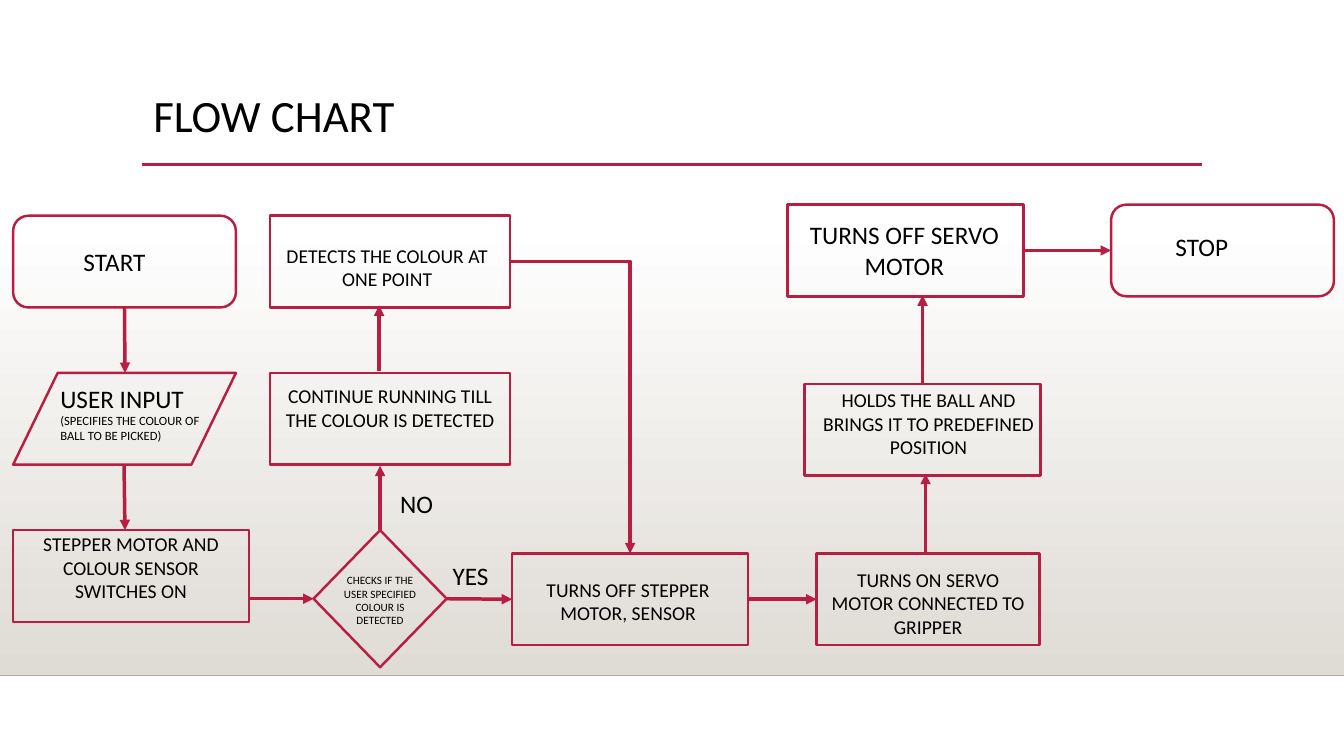
from lxml import etree
from pptx import Presentation, util as u
from pptx.dml.color import RGBColor
from pptx.enum import shapes, text
from pptx.oxml.ns import qn

WIDTH, HEIGHT = 13.33, 7.5
FONT, INK, RED = "Calibri", "000000", "B71E42"
TITLE = "FLOW CHART"
LEFT, CENTER = text.PP_ALIGN.LEFT, text.PP_ALIGN.CENTER
TOP_SIDE, LEFT_SIDE, BOTTOM_SIDE, RIGHT_SIDE = range(4)

# Grid: column lefts, row tops and step widths
COLUMN = {"input": 0.13, "check": 3.11, "detect": 2.68, "stepper": 5.08,
          "servo": 8.1, "hold": 7.98, "finish": 7.81, "stop": 11.02}
ROW = {"finish": 2.03, "first": 2.14, "second": 3.7, "hold": 3.81,
       "third": 5.26, "last": 5.49}
NARROW, WIDE, WIDER = 2.21, 2.34, 2.38
STEP_HEIGHT, DIAMOND = 0.91, (1.32, 1.36)

# Steps: name -> kind, column, row, width
STEPS = {
    "start": ("FLOWCHART_ALTERNATE_PROCESS", "input", "first", NARROW),
    "input": ("FLOWCHART_DATA", "input", "second", NARROW),
    "switch on": ("RECTANGLE", "input", "third", WIDE),
    "check": ("DIAMOND", "check", "third", DIAMOND[0]),
    "continue": ("RECTANGLE", "detect", "second", WIDER),
    "detect": ("RECTANGLE", "detect", "first", WIDER),
    "stepper off": ("RECTANGLE", "stepper", "last", WIDE),
    "servo on": ("RECTANGLE", "servo", "last", NARROW),
    "hold": ("RECTANGLE", "hold", "hold", WIDE),
    "servo off": ("RECTANGLE", "finish", "finish", WIDE),
    "stop": ("FLOWCHART_ALTERNATE_PROCESS", "stop", "finish", NARROW),
}

# Arrows: each end is a point or a (step, side) joint
ARROWS = [
    (("start", BOTTOM_SIDE), (1.24, 3.7)),
    ((1.23, 4.61), (1.24, 5.26)),
    ((2.47, 5.94), ("check", LEFT_SIDE)),
    (("check", RIGHT_SIDE), ("stepper off", LEFT_SIDE)),
    (("check", TOP_SIDE), (3.77, 4.62)),
    ((3.76, 3.68), (3.76, 3.03)),
    (("stepper off", RIGHT_SIDE), ("servo on", LEFT_SIDE)),
    ((9.18, 5.48), (9.18, 4.7)),
    (("hold", TOP_SIDE), (9.15, 2.93)),
    (("servo off", RIGHT_SIDE), ("stop", LEFT_SIDE)),
]
BENT_ARROW = (("detect", RIGHT_SIDE), ("stepper off", TOP_SIDE))

# Labels: left, top, width, height, alignment, (words, size) per paragraph
LABELS = [
    (0.73, 2.39, 1.04, 0.4, LEFT, [("START", 18)]),
    (11.56, 2.25, 1.04, 0.4, LEFT, [("STOP", 18)]),
    (4.39, 5.51, 0.64, 0.4, LEFT, [("YES", 18)]),
    (3.87, 4.8, 0.64, 0.4, LEFT, [("NO", 18)]),
    (0.5, 3.75, 1.61, 0.71, LEFT,
     [("USER INPUT", 18), ("(SPECIFIES THE COLOUR OF BALL TO BE PICKED)", 9)]),
    (0.13, 5.23, WIDE, 0.81, CENTER,
     [("STEPPER MOTOR AND COLOUR SENSOR SWITCHES ON", 14)]),
    (2.68, 3.76, WIDER, 0.81, CENTER,
     [("CONTINUE RUNNING TILL THE COLOUR IS DETECTED", 14)]),
    (2.65, 2.37, WIDER, 0.57, CENTER, [("DETECTS THE COLOUR AT ONE POINT", 14)]),
    (5.05, 5.68, 2.36, 0.77, CENTER, [("TURNS OFF STEPPER MOTOR, SENSOR", 14)]),
    (8.1, 5.58, NARROW, 0.81, CENTER,
     [("TURNS ON SERVO MOTOR CONNECTED TO GRIPPER", 14)]),
    (8.04, 3.8, WIDE, 0.81, CENTER,
     [("HOLDS THE BALL AND BRINGS IT TO PREDEFINED POSITION", 14)]),
    (7.8, 2.13, WIDE, 0.71, CENTER, [("TURNS OFF SERVO MOTOR", 18)]),
    (3.25, 5.64, 1.04, 0.64, CENTER,
     [("CHECKS IF THE USER SPECIFIED COLOUR IS DETECTED", 8)]),
]


def color(value):
    return RGBColor.from_string(value)


def inches(*lengths):
    return [u.Inches(length) for length in lengths]


def format_with(target, **values):
    for name, value in values.items():
        setattr(target, name, value)


def write(paragraph, words, size, alignment):
    paragraph.alignment = alignment
    span = paragraph.add_run()
    span.text = words
    format_with(span.font, name=FONT, size=u.Pt(size))
    span.font.color.rgb = color(INK)


def add_line(page, start, end, weight, stroke=RED, kind="STRAIGHT"):
    line = page.shapes.add_connector(
        shapes.MSO_CONNECTOR[kind], *inches(*start, *end))
    line.line.width = u.Pt(weight)
    line.line.color.rgb = color(stroke)
    etree.SubElement(line._element.spPr, qn("a:effectLst"))
    return line


def add_arrow(page, steps, start, end, kind="STRAIGHT"):
    joints = [end_at if end_at[0] in steps else None for end_at in (start, end)]
    points = [(0, 0) if joint else point
              for joint, point in zip(joints, (start, end))]
    arrow = add_line(page, *points, 2.5, kind=kind)
    for joint, connect in zip(joints, (arrow.begin_connect, arrow.end_connect)):
        if joint:
            connect(steps[joint[0]], joint[1])
    etree.SubElement(arrow.line._get_or_add_ln(), qn("a:tailEnd"), type="triangle")
    return arrow


def main():
    deck = Presentation()
    deck.slide_width, deck.slide_height = inches(WIDTH, HEIGHT)
    page = deck.slides.add_slide(deck.slide_layouts[5])

    # Shaded floor and rules
    floor = page.shapes.add_shape(
        shapes.MSO_SHAPE.RECTANGLE, *inches(0, 2.21, WIDTH, 4.49))
    floor.shadow.inherit = False
    floor.line.fill.background()
    floor.fill.gradient()
    floor.fill.gradient_angle = 270
    for stop, shade in zip(floor.fill.gradient_stops, ("FFFFFF", "DFDBD5")):
        stop.color.rgb = color(shade)
    add_line(page, (0, 6.7), (WIDTH, 6.7), 1, "B2AFAA")
    add_line(page, (1.41, 1.63), (11.92, 1.63), 2.5)

    # Title
    title = page.shapes.title
    format_with(title, **dict(zip(("left", "top", "width", "height"),
                                  inches(1.42, 0.88, 10.5, 1.15))))
    format_with(title.text_frame, vertical_anchor=text.MSO_ANCHOR.TOP,
                word_wrap=True, auto_size=text.MSO_AUTO_SIZE.NONE)
    heading = title.text_frame.paragraphs[0]
    heading.line_spacing = 0.9
    write(heading, TITLE, 32, LEFT)

    # Step outlines
    steps = {}
    for name, (kind, column, row, width) in STEPS.items():
        height = DIAMOND[1] if kind == "DIAMOND" else STEP_HEIGHT
        step = page.shapes.add_shape(
            shapes.MSO_SHAPE[kind],
            *inches(COLUMN[column], ROW[row], width, height))
        step.shadow.inherit = False
        step.fill.background()
        step.line.width = u.Pt(1.75)
        step.line.color.rgb = color(RED)
        steps[name] = step

    # Arrows
    for start, end in ARROWS:
        add_arrow(page, steps, start, end)
    bent = add_arrow(page, steps, *BENT_ARROW, kind="ELBOW")
    bent._element.spPr.find(qn("a:prstGeom")).set("prst", "bentConnector2")

    # Labels
    for left, top, width, height, alignment, lines in LABELS:
        box = page.shapes.add_textbox(*inches(left, top, width, height))
        frame = box.text_frame
        format_with(frame, word_wrap=True,
                    auto_size=text.MSO_AUTO_SIZE.SHAPE_TO_FIT_TEXT)
        for index, (words, size) in enumerate(lines):
            para = frame.add_paragraph() if index else frame.paragraphs[0]
            write(para, words, size, alignment)

    deck.save("out.pptx")


if __name__ == "__main__":
    main()
